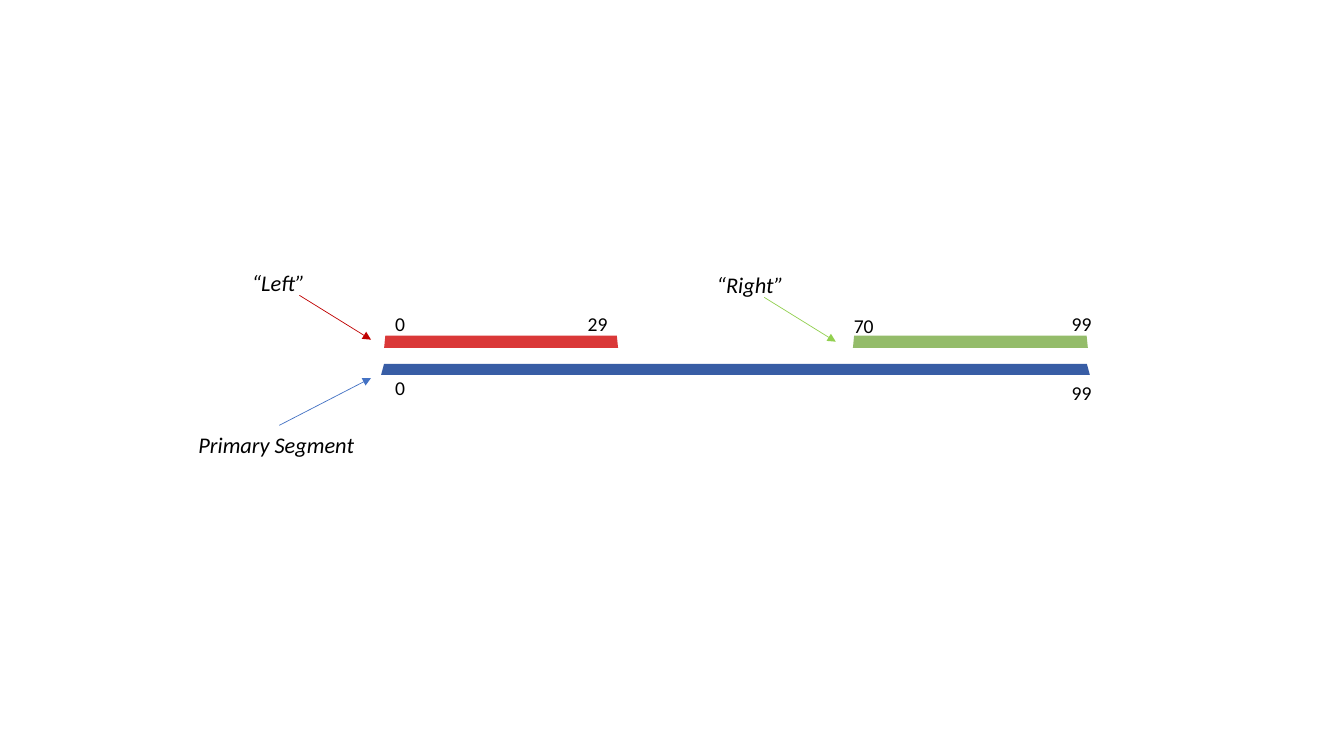
from lxml.etree import SubElement
from pptx import Presentation
from pptx.dml.color import RGBColor
from pptx.enum.shapes import MSO_CONNECTOR, MSO_SHAPE
from pptx.enum.text import MSO_AUTO_SIZE as AutoSize
from pptx.oxml.ns import qn
from pptx.util import Inches, Pt


def color(hex_code):
    """Turn a hex string into a colour."""
    return RGBColor.from_string(hex_code)


class SegmentSlide:
    """Hold the text style and the slide, and draw its elements."""

    FONT = {"name": "Calibri"}
    TEXT_COLOR = "000000"
    ARROW_WIDTH = 0.5

    def __init__(self, slide):
        """Keep the slide's shapes."""
        self.shapes = slide.shapes

    def segment(self, left, top, width, height, fill, slant):
        """Draw a bar whose ends slant inward by a share of its height."""
        bar = self.shapes.add_shape(MSO_SHAPE.TRAPEZOID, *map(Inches, (left, top, width, height)))
        bar.adjustments[0] = slant
        bar.shadow.inherit = False
        bar.fill.solid()
        bar.fill.fore_color.rgb = color(fill)
        bar.line.fill.background()

    def label(self, text, left, top, width, height, **font_format):
        """Write one line of text in a box that fits it."""
        box = self.shapes.add_textbox(*map(Inches, (left, top, width, height)))
        frame = box.text_frame
        frame.word_wrap = True
        frame.auto_size = AutoSize.SHAPE_TO_FIT_TEXT
        run = frame.paragraphs[0].add_run()
        run.text = text
        for attribute, value in {**self.FONT, **font_format}.items():
            setattr(run.font, attribute, value)
        run.font.color.rgb = color(self.TEXT_COLOR)

    def position(self, text, left, top):
        """Write an end position of a segment."""
        width = 0.39 if len(text) == 1 else 0.5
        self.label(text, left, top, width, 0.34, size=Pt(14))

    def name(self, text, left, top):
        """Write the name of a segment."""
        self.label(text, left, top, 1.95, 0.37, size=Pt(16), italic=True)

    def arrow(self, start, end, stroke):
        """Draw a thin arrow from start to end."""
        pointer = self.shapes.add_connector(MSO_CONNECTOR.STRAIGHT, *map(Inches, (*start, *end)))
        pointer.line.width = Pt(self.ARROW_WIDTH)
        pointer.line.color.rgb = color(stroke)
        SubElement(pointer.line._get_or_add_ln(), qn("a:tailEnd"), type="triangle")
        SubElement(pointer._element.spPr, qn("a:effectLst"))


deck = Presentation()
deck.slide_width, deck.slide_height = Inches(13.33), Inches(7.5)
diagram = SegmentSlide(deck.slides.add_slide(deck.slide_layouts[6]))

for left, top, width, height, fill, slant in (
    (3.78, 3.61, 7.03, 0.11, "385DA5", 0.27),
    (3.81, 3.33, 2.32, 0.12, "DA3838", 0.1),
    (8.46, 3.33, 2.33, 0.12, "94BC6A", 0.1),
):
    diagram.segment(left, top, width, height, fill, slant)

for text, left, top in (
    ("0", 3.82, 3.05),
    ("29", 5.73, 3.05),
    ("0", 3.82, 3.68),
    ("70", 8.37, 3.07),
    ("99", 10.53, 3.05),
    ("99", 10.53, 3.73),
):
    diagram.position(text, left, top)

for text, left, top, start, end, stroke in (
    ("Primary Segment", 1.87, 4.23, (2.77, 4.22), (3.68, 3.75), "4472C4"),
    ("“Left”", 2.4, 2.62, (2.97, 2.93), (3.68, 3.37), "C00000"),
    ("“Right”", 7.01, 2.64, (7.58, 2.95), (8.29, 3.39), "92D050"),
):
    diagram.arrow(start, end, stroke)
    diagram.name(text, left, top)

deck.save("out.pptx")
